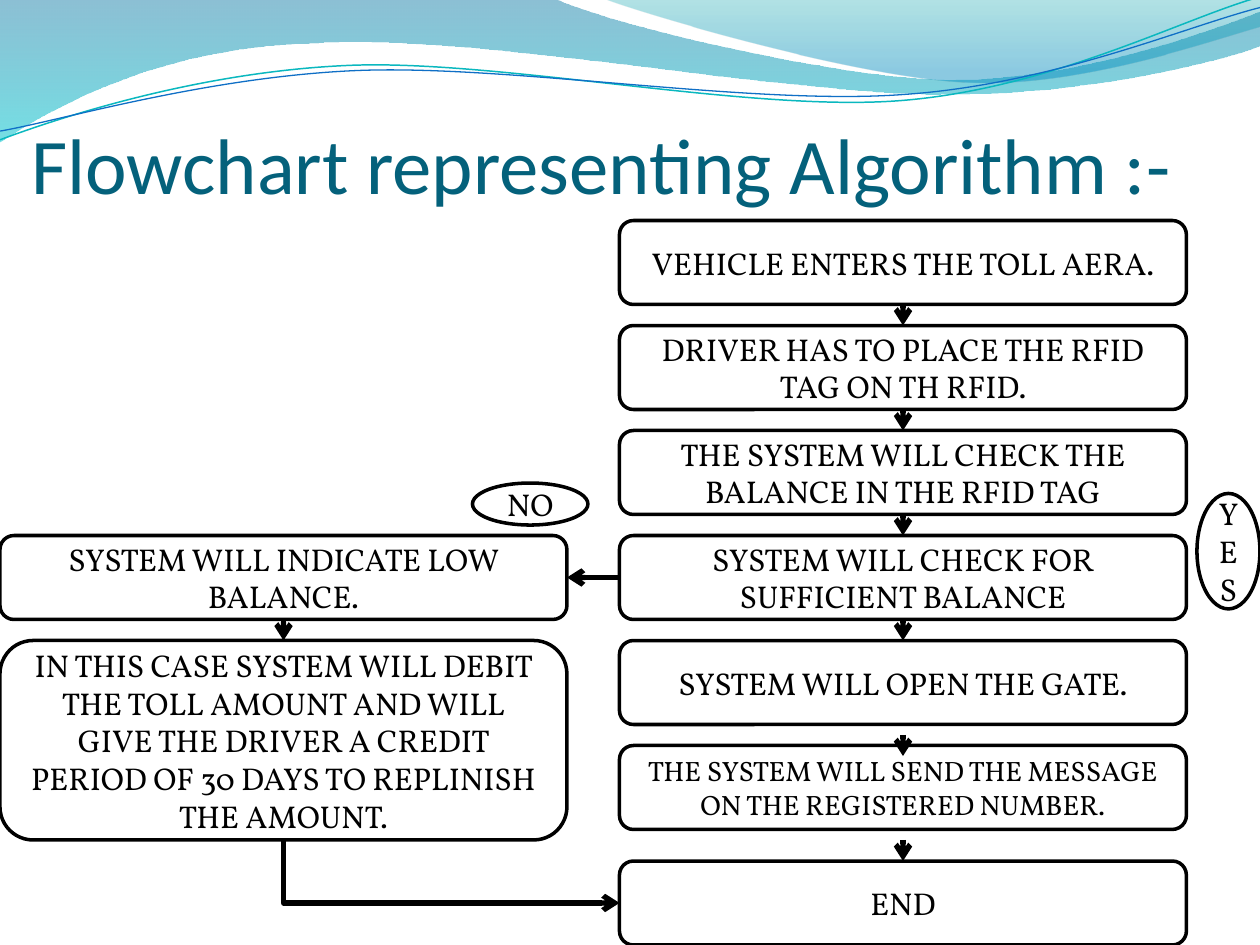
from lxml.etree import SubElement
from pptx import Presentation
from pptx.dml.color import RGBColor
from pptx.enum.shapes import MSO_CONNECTOR as CONN, MSO_SHAPE as SHAPE
from pptx.enum.text import MSO_ANCHOR as ANCHOR, MSO_AUTO_SIZE as AUTO, PP_ALIGN as ALIGN
from pptx.oxml.ns import qn
from pptx.util import Pt

BLACK, WHITE, TITLE = "000000", "FFFFFF", "04617B"

# Each wave: start point, then segments of one point (line) or three (cubic curve)
BROAD_WAVE = [(0, 0), [(317, -0.7)],
              [(342.7, 12.2), (478, 45.4), (545.8, 45.4)], [(614, 45.4), (689.8, 18.7), (720, 6.5)],
              [(720.7, 25.9)], [(707.8, 31.7), (626.4, 54.7), (537.1, 54)],
              [(447.8, 54), (275, 20.2), (185, 24.5)], [(92.9, 25.9), (33.1, 59.8), (-0.7, 81.4)],
              [(0, 0)]]
RIGHT_WAVE = [(344.9, -0.7), [(366.5, 7.9), (491, 44.6), (553.7, 46.8)],
              [(616.3, 49.7), (691.9, 23), (720, 15.1)], [(720, 0)], [(344.9, -0.7)]]
TEAL_LINE = [(0, 79.9), [(34.6, 67), (113.8, 41), (199.4, 37.4)],
             [(284.4, 33.8), (427, 64.1), (513.4, 57.6)], [(599.8, 51.1), (675.4, 10.8), (718.6, -1.4)]]
BLUE_LINE = [(0, 74.9), [(33.8, 69.1), (118.1, 43.9), (203.8, 40.3)],
             [(290.2, 36.7), (429.8, 60.5), (516.2, 54)], [(601.9, 48.2), (677.5, 15.1), (720, 4.3)]]

MAIN_STEPS = [
    "VEHICLE ENTERS THE TOLL AERA.",
    "DRIVER HAS TO PLACE THE RFID TAG ON TH RFID.",
    "THE SYSTEM WILL CHECK THE BALANCE IN THE RFID TAG",
    "SYSTEM WILL CHECK FOR SUFFICIENT BALANCE",
    "SYSTEM WILL OPEN THE GATE.",
    "THE SYSTEM WILL SEND THE MESSAGE ON THE REGISTERED NUMBER.",
]
LOW_BALANCE = "SYSTEM WILL INDICATE LOW BALANCE."
CREDIT = ("IN THIS CASE SYSTEM WILL DEBIT THE TOLL AMOUNT AND WILL GIVE THE DRIVER "
          "A CREDIT PERIOD OF 30 DAYS TO REPLINISH THE AMOUNT.")


def rgb(hex_colour):
    return RGBColor.from_string(hex_colour)


def write(sp, text, size=18, font="Vollkorn", colour=BLACK, align=ALIGN.CENTER, anchor=ANCHOR.MIDDLE):
    tf = sp.text_frame
    tf.word_wrap, tf.auto_size, tf.vertical_anchor = True, AUTO.NONE, anchor
    p = tf.paragraphs[0]
    p.alignment = align
    r = p.add_run()
    r.text = text
    r.font.size, r.font.name, r.font.color.rgb = Pt(size), font, rgb(colour)


def bend(sp, segments):
    """Join the three lines of each cubic segment into one curve."""
    lines = iter(list(sp._element.spPr.iter(qn("a:lnTo"))))
    for segment in segments:
        first, *others = [next(lines) for _ in segment]
        if others:
            first.tag = qn("a:cubicBezTo")
        for other in others:
            first.append(other[0])
            other.getparent().remove(other)


def add_wave(slide, outline, stops=None, line=None):
    (x, y), *segments = outline
    builder = slide.shapes.build_freeform(Pt(x), Pt(y))
    builder.add_line_segments([(Pt(px), Pt(py)) for seg in segments for px, py in seg], close=bool(stops))
    sp = builder.convert_to_shape()
    bend(sp, segments)
    sp.shadow.inherit = False
    if stops:
        sp.line.fill.background()
        sp.fill.gradient()
        sp.fill.gradient_angle = 270
        for stop, (position, colour, _) in zip(sp.fill.gradient_stops, stops):
            stop.position, stop.color.rgb = position, rgb(colour)
        for clr, (_, _, opacity) in zip(sp._element.spPr.findall(".//" + qn("a:srgbClr")), stops):
            SubElement(clr, qn("a:alpha"), val=str(opacity * 1000))
    else:
        sp.fill.background()
        colour, width = line
        sp.line.color.rgb, sp.line.width = rgb(colour), Pt(width)


def add_waves(slide):
    add_wave(slide, BROAD_WAVE, stops=[(0, "0074A1", 45), (1, "00C6CF", 55)])
    add_wave(slide, RIGHT_WAVE, stops=[(0, "00A1A9", 30), (0.8, "008BBF", 45)])
    add_wave(slide, TEAL_LINE, line=("0AB8BF", 0.85))
    add_wave(slide, BLUE_LINE, line=("0F6FC6", 0.75))


def add_title(slide, x, y, w, h):
    sp = slide.shapes.title
    sp.left, sp.top, sp.width, sp.height = Pt(x), Pt(y), Pt(w), Pt(h)
    write(sp, "Flowchart representing Algorithm :-", size=45, font="Calibri", colour=TITLE,
          align=ALIGN.LEFT, anchor=ANCHOR.BOTTOM)
    tf = sp.text_frame
    tf.margin_left = tf.margin_right = tf.margin_bottom = 0
    tf.margin_top = Pt(3.6)
    slide.shapes._spTree.append(sp._element)  # in front of the waves


def add_node(slide, text, x, y, w, h, kind=SHAPE.ROUNDED_RECTANGLE, size=18):
    sp = slide.shapes.add_shape(kind, Pt(x), Pt(y), Pt(w), Pt(h))
    sp.shadow.inherit = False
    sp.fill.solid()
    sp.fill.fore_color.rgb = rgb(WHITE)
    sp.line.color.rgb, sp.line.width = rgb(BLACK), Pt(2)
    write(sp, text, size=size)


def add_arrow(slide, x1, y1, x2, y2, kind=CONN.STRAIGHT):
    sp = slide.shapes.add_connector(kind, Pt(x1), Pt(y1), Pt(x2), Pt(y2))
    sp.line.color.rgb, sp.line.width = rgb(BLACK), Pt(3)
    SubElement(sp.line._get_or_add_ln(), qn("a:tailEnd"), type="arrow")
    SubElement(sp._element.spPr, qn("a:effectLst"))
    return sp


def add_down_right_arrow(slide, x1, y1, x2, y2):
    """One-bend arrow: a mirrored elbow turned by 270 degrees about its centre."""
    cx, cy, half_w, half_h = (x1 + x2) / 2, (y1 + y2) / 2, (y2 - y1) / 2, (x2 - x1) / 2
    sp = add_arrow(slide, cx + half_w, cy - half_h, cx - half_w, cy + half_h, CONN.ELBOW)
    sp._element.spPr.find(qn("a:prstGeom")).set("prst", "bentConnector2")
    sp._element.spPr.find(qn("a:xfrm")).set("rot", "16200000")


def add_flowchart(slide, x, y, w, h):
    node_w, node_h, pitch, gap = 324, 48, 60, 12
    right = x + w - node_w
    left_mid, right_mid = x + node_w / 2, right + node_w / 2
    check_y = y + 3 * pitch
    credit_y, credit_h = check_y + pitch, 114
    end_y = y + h - node_h

    # Main column
    for i, text in enumerate(MAIN_STEPS):
        add_node(slide, text, right, y + i * pitch, node_w, node_h, size=16 if i == 5 else 18)
    add_node(slide, "END", right, end_y, node_w, node_h)

    # Low balance branch
    add_node(slide, LOW_BALANCE, x, check_y, node_w, node_h)
    add_node(slide, CREDIT, x, credit_y, node_w, credit_h)

    # Arrows
    for top in [y + node_h + i * pitch for i in range(4)] + [end_y - 72, end_y - gap]:
        add_arrow(slide, right_mid, top, right_mid, top + gap)
    add_arrow(slide, left_mid, credit_y - gap, left_mid, credit_y)
    add_arrow(slide, right, check_y + node_h / 2, x + node_w, check_y + node_h / 2)
    add_down_right_arrow(slide, left_mid, credit_y + credit_h, right, end_y + node_h / 2)

    # Decision labels
    add_node(slide, "NO", x + 270, check_y - 30, 66, 24, SHAPE.OVAL)
    add_node(slide, "YES", x + w + 6, check_y - 24, 36, 66, SHAPE.OVAL)


def main():
    prs = Presentation()
    prs.slide_width, prs.slide_height = Pt(720), Pt(540)
    slide = prs.slides.add_slide(prs.slide_layouts[5])
    add_waves(slide)
    add_title(slide, 18, 30, 672, 90)
    add_flowchart(slide, 0, 126, 678, 414)
    prs.save("out.pptx")


if __name__ == "__main__":
    main()
